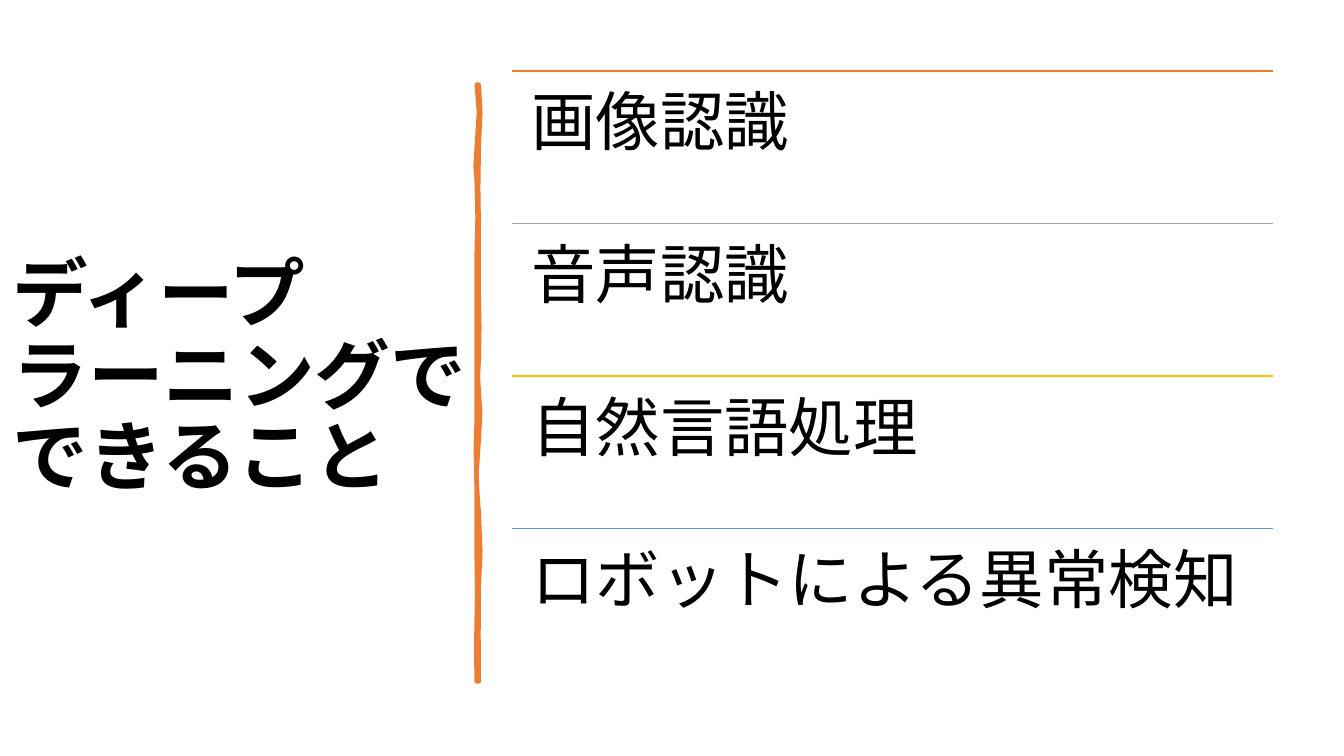
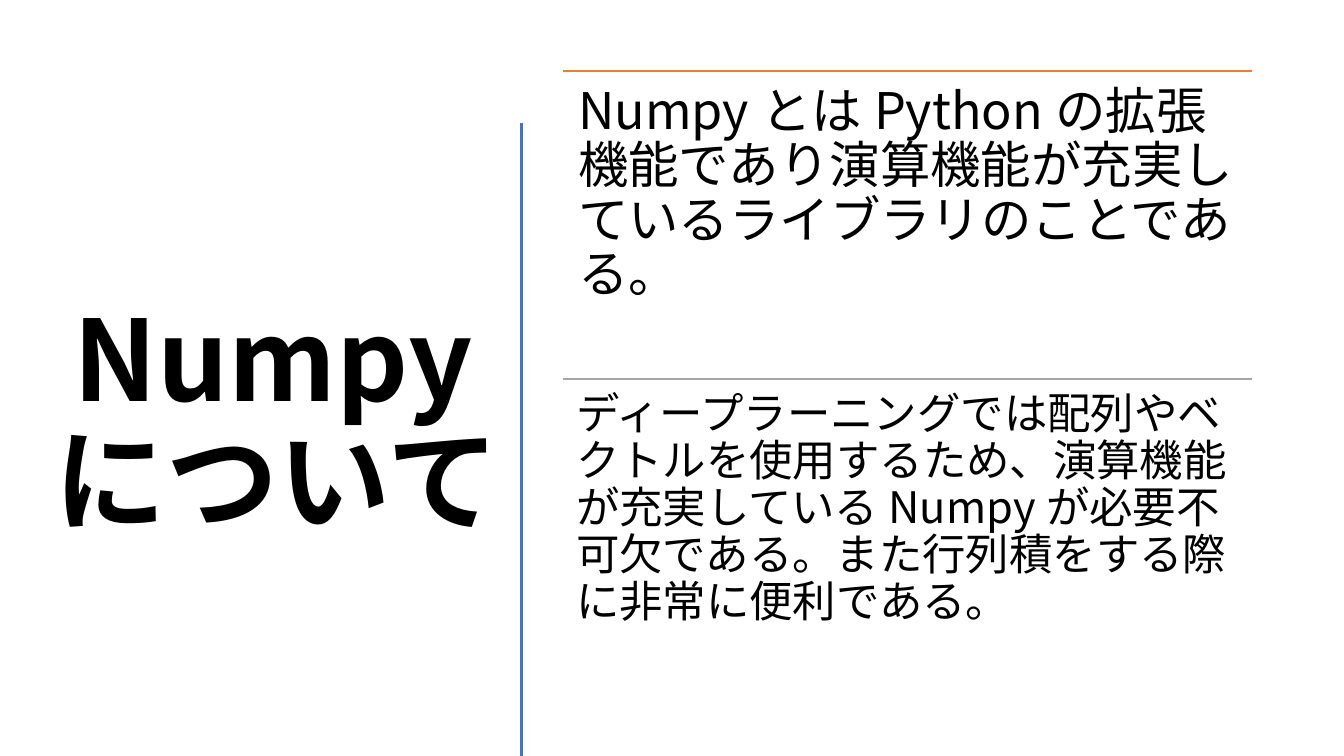
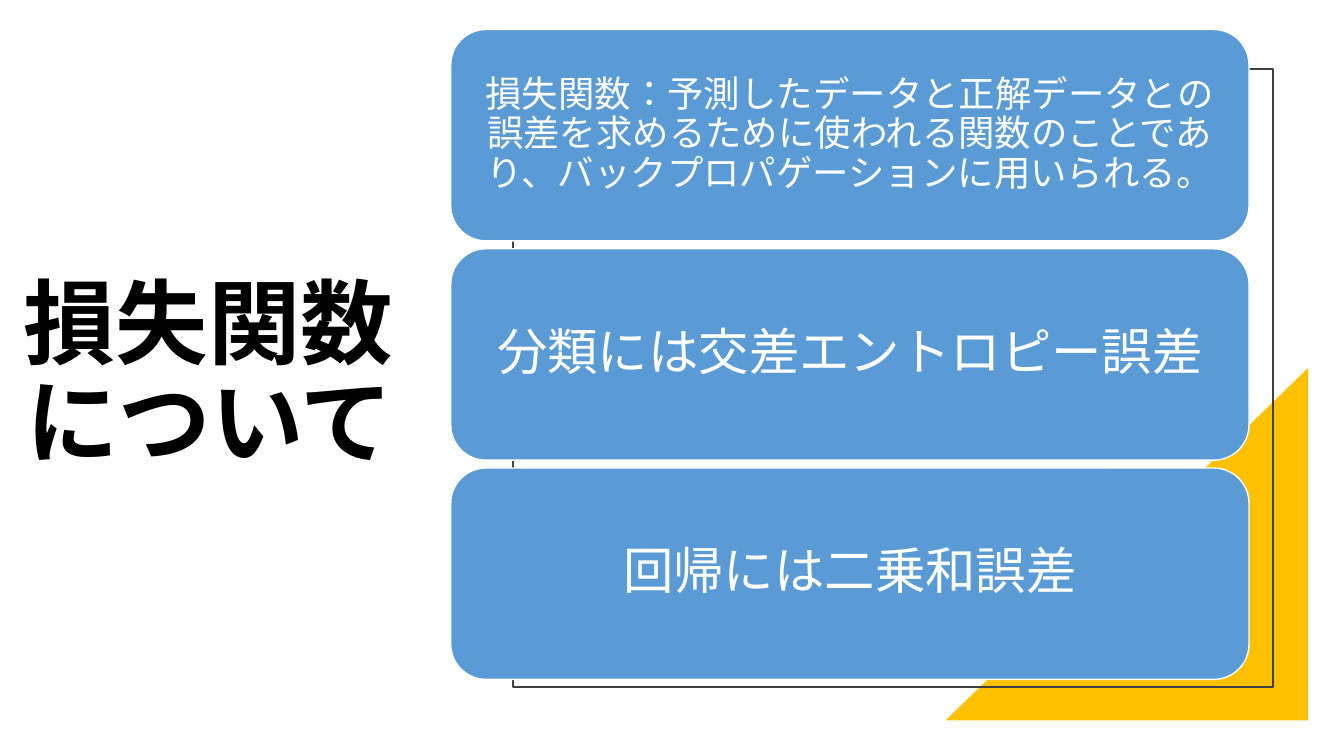
import dataclasses
import lxml.etree
import pptx
import pptx.dml.color
import pptx.enum.lang
import pptx.enum.shapes
import pptx.enum.text
import pptx.oxml.ns
import pptx.util

Pt = pptx.util.Pt
Align = pptx.enum.text.PP_ALIGN
Anchor = pptx.enum.text.MSO_ANCHOR
Shape = pptx.enum.shapes.MSO_SHAPE
Color = pptx.dml.color.RGBColor.from_string
qn = pptx.oxml.ns.qn


@dataclasses.dataclass(frozen=True)
class Theme:
    font: str = "Noto Sans CJK JP"
    black: str = "000000"
    white: str = "FFFFFF"
    orange: str = "ED7D31"
    gray: str = "A5A5A5"
    gold: str = "FFC000"
    blue: str = "5B9BD5"
    deep_blue: str = "4472C4"
    frame: str = "404040"
    title_sizes: tuple = (54, 80, 66)
    topic: int = 46
    large: int = 36
    medium: int = 31
    small: int = 26


theme = Theme()


def write(box, text, size, color, align, anchor, inset, bold=False):
    frame = box.text_frame
    frame.text = text
    frame.word_wrap = True
    frame.auto_size = pptx.enum.text.MSO_AUTO_SIZE.NONE
    frame.vertical_anchor = anchor
    frame.margin_left = frame.margin_right = Pt(inset)
    frame.margin_top = frame.margin_bottom = Pt(inset)
    for para in frame.paragraphs:
        para.alignment = align
        para.line_spacing = 0.9
        for span in para.runs:
            span.font.size = Pt(size)
            span.font.bold = bold
            span.font.color.rgb = Color(color)
            span.font.name = theme.font
            span.font.language_id = pptx.enum.lang.MSO_LANGUAGE_ID.JAPANESE
            properties = span.font._element
            east_asian = lxml.etree.Element(qn("a:ea"), typeface=theme.font)
            properties.find(qn("a:latin")).addnext(east_asian)


def draw_line(page, left, top, right, bottom, color, width):
    line = page.shapes.add_connector(
        pptx.enum.shapes.MSO_CONNECTOR.STRAIGHT, Pt(left), Pt(top), Pt(right), Pt(bottom))
    line.line.color.rgb = Color(color)
    line.line.width = Pt(width)
    lxml.etree.SubElement(line._element.spPr, qn("a:effectLst"))


deck = pptx.Presentation()
deck.slide_width, deck.slide_height = Pt(960), Pt(540)

titles = [
    ("ディープ\vラーニングでできること", (1.7, 50.4, 340.6, 440), Align.LEFT),
    ("Numpyについて", (-17.6, 84.2, 381.6, 440), Align.RIGHT),
    ("損失関数について", (-11.5, 92.9, 299.5, 352.8), Align.RIGHT),
]
pages = []
for (text, place, align), size in zip(titles, theme.title_sizes):
    page = deck.slides.add_slide(deck.slide_layouts[5])
    title = page.shapes.title
    title.left, title.top, title.width, title.height = map(Pt, place)
    write(title, text, size, theme.black, align, Anchor.MIDDLE, 7.2, bold=True)
    pages.append(page)
abilities_page, numpy_page, loss_page = pages

brush_right = [
    (342, 60.5), (343.1, 80.4), (342, 105), (341.6, 134), (342, 163), (342, 212),
    (342.4, 234), (342, 256), (341.4, 270), (343, 295), (342, 314), (340.2, 341),
    (342, 367), (343.1, 394), (342, 420), (341.8, 453), (342, 486.7),
]
brush_left = [
    (340.6, 486.7), (340.2, 464), (340.6, 441), (340.9, 421), (340.6, 401), (340.6, 343),
    (339.9, 321), (340.6, 299), (340.6, 241), (340.6, 180), (341.2, 155), (340.6, 130),
    (339.8, 118), (342.2, 80), (340.6, 60.5),
]
outline = [(Pt(x), Pt(y)) for x, y in brush_right + brush_left]
builder = abilities_page.shapes.build_freeform(*outline[0])
builder.add_line_segments(outline[1:], close=True)
brush = builder.convert_to_shape()
brush.shadow.inherit = False
brush.fill.solid()
brush.fill.fore_color.rgb = Color(theme.orange)
brush.line.color.rgb = Color(theme.orange)
brush.line.width = Pt(3.25)

draw_line(numpy_page, 372.5, 88, 372.5, 540, theme.deep_blue, 2)

abilities = [
    ("画像認識", theme.topic, theme.orange, 13.8),
    ("音声認識", theme.topic, theme.gray, 13.8),
    ("自然言語処理", theme.topic, theme.gold, 13.8),
    ("ロボットによる異常検知", theme.topic, theme.blue, 13.8),
]
numpy_facts = [
    ("NumpyとはPythonの拡張機能であり演算機能が充実しているライブラリのことである。",
     theme.large, theme.orange, 10.8),
    ("ディープラーニングでは配列やベクトルを使用するため、演算機能が充実しているNumpyが"
     "必要不可欠である。また行列積をする際に非常に便利である。",
     theme.medium, theme.gray, 9.3),
]
list_top = 50.6
for page, rows, left, width, row_height in [
    (abilities_page, abilities, 365.8, 543.6, 109),
    (numpy_page, numpy_facts, 402.2, 491.8, 220.2),
]:
    for index, (text, size, color, inset) in enumerate(rows):
        top = list_top + index * row_height
        draw_line(page, left, top, left + width, top, color, 1)
        box = page.shapes.add_textbox(Pt(left), Pt(top), Pt(width), Pt(row_height))
        write(box, text, size, theme.black, Align.LEFT, Anchor.TOP, inset)

corner = loss_page.shapes.add_shape(
    Shape.RIGHT_TRIANGLE, Pt(675.4), Pt(262.8), Pt(259), Pt(251.8))
corner.shadow.inherit = False
corner.fill.solid()
corner.fill.fore_color.rgb = Color(theme.gold)
corner.line.fill.background()
corner._element.spPr.find(qn("a:xfrm")).set("flipH", "1")

border = loss_page.shapes.add_shape(
    Shape.RECTANGLE, Pt(366.5), Pt(49.2), Pt(542.9), Pt(441.4))
border.shadow.inherit = False
border.fill.background()
border.line.color.rgb = Color(theme.frame)
border.line.width = Pt(1.5)

loss_facts = [
    ("損失関数：予測したデータと正解データとの誤差を求めるために使われる関数のことであり、"
     "バックプロパゲーションに用いられる。", theme.small, 7.8),
    ("分類には交差エントロピー誤差", theme.large, 10.8),
    ("回帰には二乗和誤差", theme.large, 10.8),
]
for index, (text, size, inset) in enumerate(loss_facts):
    card = loss_page.shapes.add_shape(
        Shape.ROUNDED_RECTANGLE, Pt(322), Pt(21.1 + index * 156.6), Pt(570.2), Pt(151))
    card.shadow.inherit = False
    card.fill.solid()
    card.fill.fore_color.rgb = Color(theme.blue)
    card.line.color.rgb = Color(theme.white)
    card.line.width = Pt(1)
    write(card, text, size, theme.white, Align.CENTER, Anchor.MIDDLE, inset)

deck.save("out.pptx")
